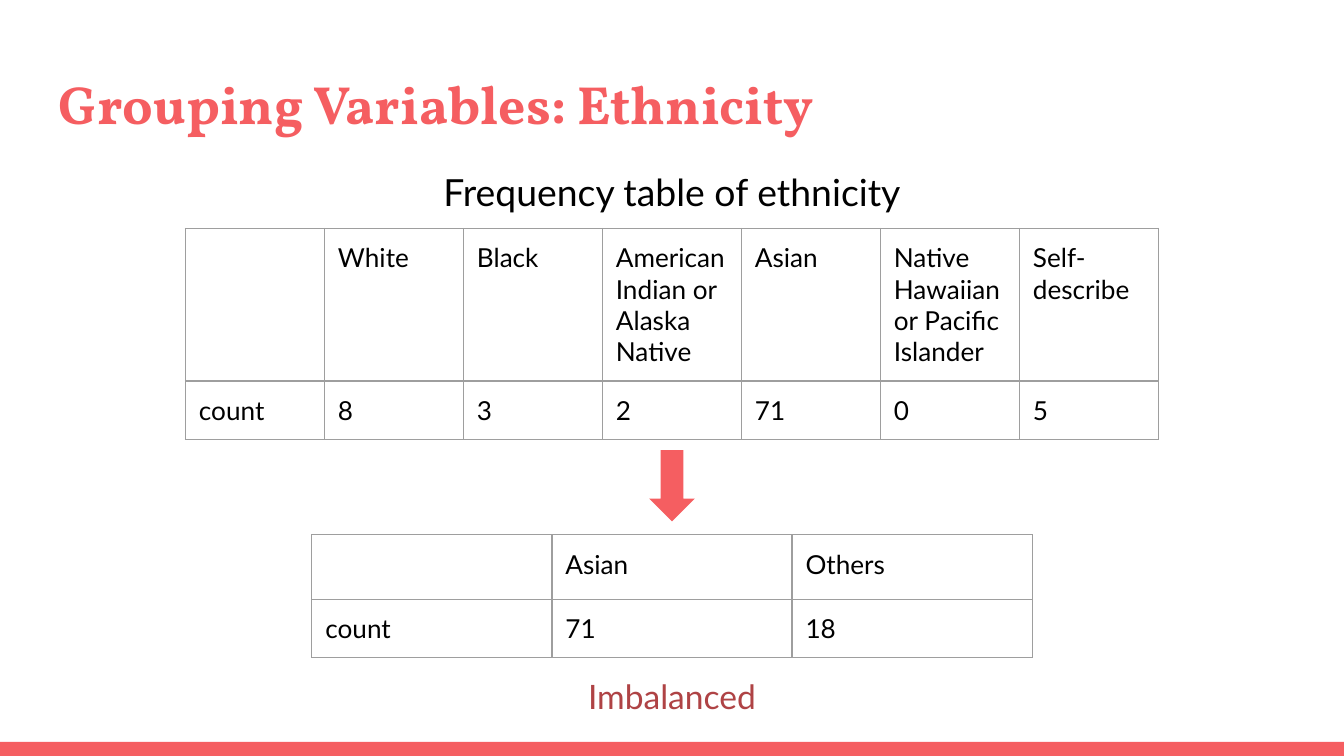
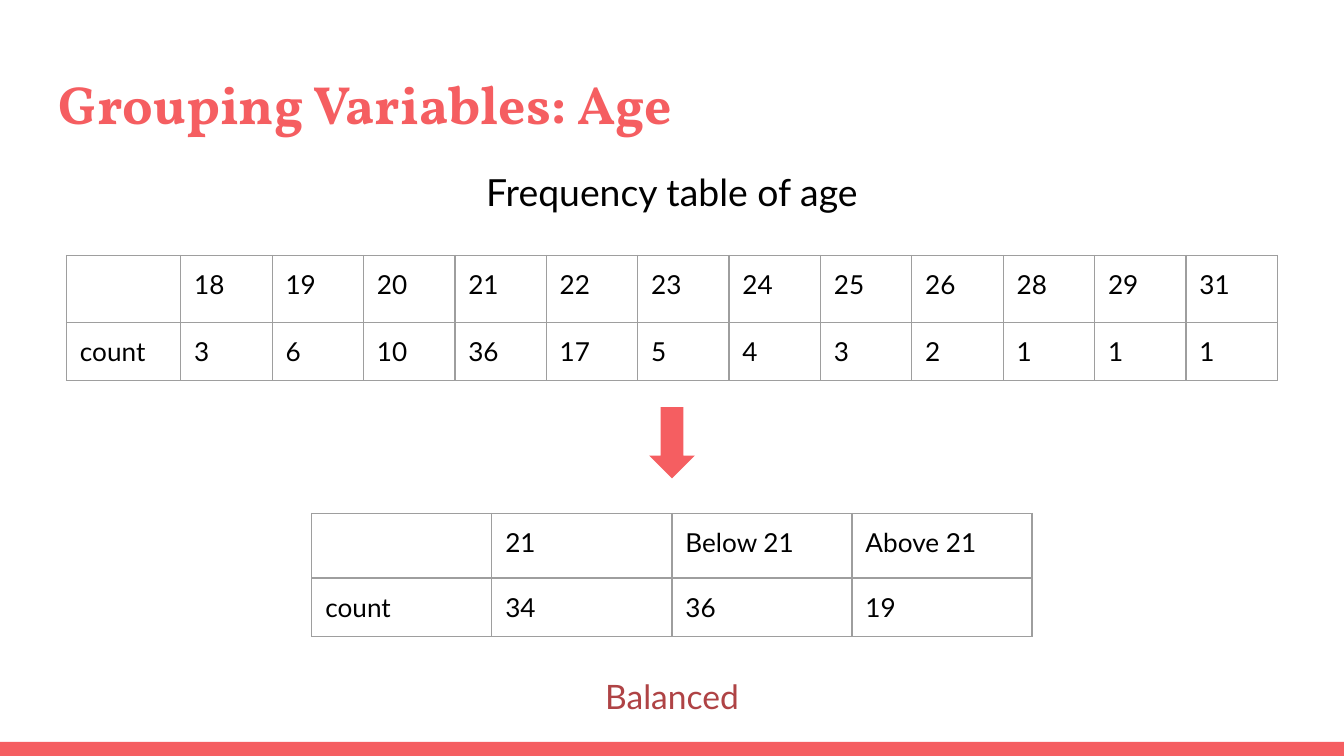
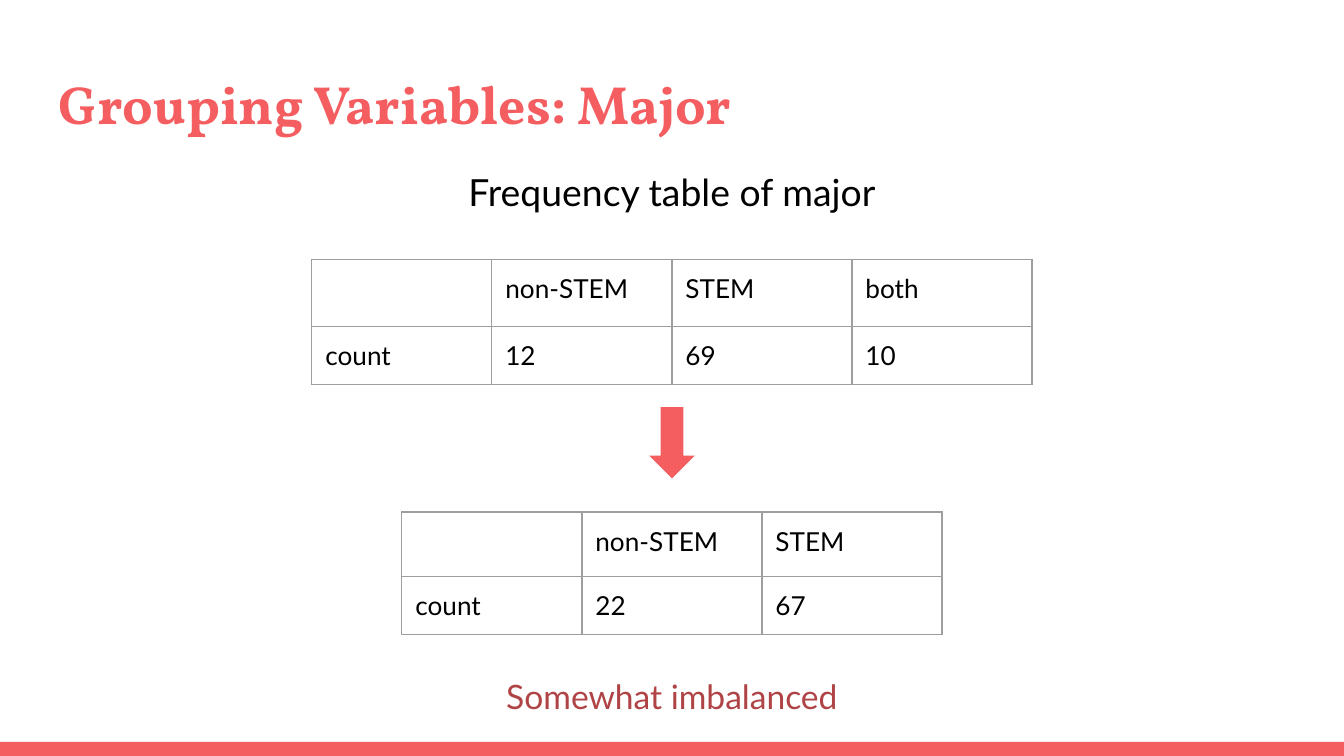
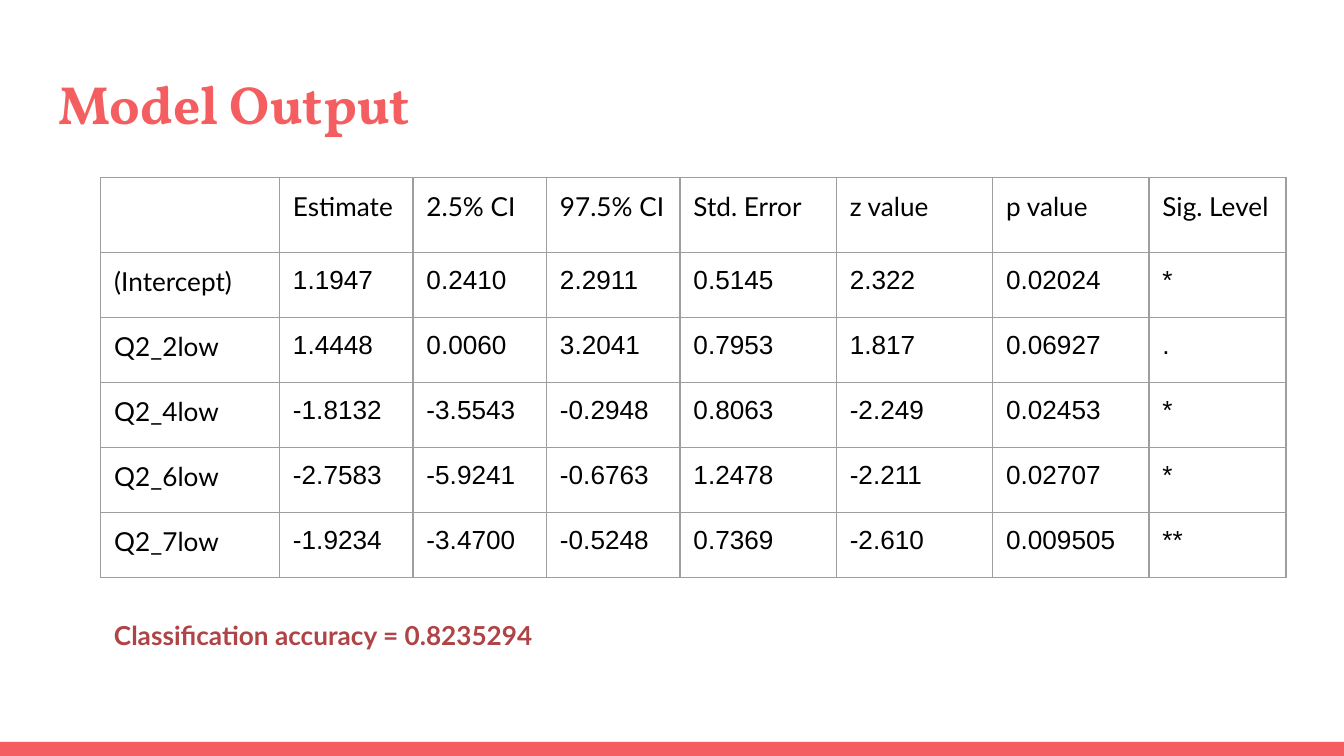
import pptx
import pptx.dml.color
import pptx.enum.shapes
import pptx.enum.text
import pptx.oxml.ns
import pptx.util
from lxml import etree

Inches = pptx.util.Inches
Pt = pptx.util.Pt
ALIGN = pptx.enum.text.PP_ALIGN
SHAPE = pptx.enum.shapes.MSO_SHAPE
qn = pptx.oxml.ns.qn

SLIDE_W = 10
SLIDE_H = SLIDE_W * 9 / 16
CORAL, BRICK, BLACK, GREY = "F55E61", "AF4345", "000000", "9E9E9E"
MARGINS = {"margin_left": Inches(0.1), "margin_right": Inches(0.1),
           "margin_top": Inches(0.1), "margin_bottom": Inches(0.1)}

# Text styles shared by the slides
TITLE = {"name": "Vollkorn", "size": Pt(28.8), "bold": True, "color": CORAL}
CAPTION = {"name": "Lato", "size": Pt(20), "color": BLACK}
VERDICT = {"name": "Lato", "size": Pt(18), "color": BRICK}
ACCURACY = {"name": "Lato", "size": Pt(14), "bold": True, "color": BRICK}
CELL = {"name": "Lato", "size": Pt(14), "bold": False, "color": BLACK}
NUMBER = {**CELL, "name": "Arial"}


def rgb(hex_color):
    return pptx.dml.color.RGBColor.from_string(hex_color)


def set_attributes(target, values):
    for key, value in values.items():
        setattr(target, key, value)


def set_font(font, style):
    for key, value in style.items():
        if key == "color":
            font.color.rgb = rgb(value)
        else:
            setattr(font, key, value)


def add_text(slide, box, text, style, **paragraph_format):
    frame = slide.shapes.add_textbox(*map(Inches, box)).text_frame
    set_attributes(frame, {"word_wrap": True, **MARGINS})
    line = frame.paragraphs[0]
    set_attributes(line, paragraph_format)
    run = line.add_run()
    run.text = text
    set_font(run.font, style)


def add_solid(slide, preset, box):
    solid = slide.shapes.add_shape(preset, *map(Inches, box))
    solid.shadow.inherit = False
    solid.fill.solid()
    solid.fill.fore_color.rgb = rgb(CORAL)
    solid.line.fill.background()


def add_borders(cell):
    properties = cell._tc.get_or_add_tcPr()
    for position, side in enumerate(("lnL", "lnR", "lnT", "lnB")):
        border = etree.Element(qn(f"a:{side}"), w=str(Pt(0.75)))
        fill = etree.SubElement(border, qn("a:solidFill"))
        etree.SubElement(fill, qn("a:srgbClr"), val=GREY)
        properties.insert(position, border)


def fill_cell(cell, text, style):
    set_attributes(cell, MARGINS)
    cell.fill.background()
    add_borders(cell)
    cell.text = text
    for line in cell.text_frame.paragraphs:
        for run in line.runs:
            set_font(run.font, style)
        if not line.runs:  # keeps an empty cell as low as its row
            etree.SubElement(line._p, qn("a:endParaRPr"), sz="1400")


def add_grid(slide, left, top, widths, heights, rows, number_style=CELL):
    box = (left, top, sum(widths), sum(heights))
    grid = slide.shapes.add_table(len(rows), len(widths), *map(Inches, box)).table
    set_attributes(grid, {"first_row": False, "horz_banding": False})
    for column, width in zip(grid.columns, widths):
        column.width = Inches(width)
    for row, height in zip(grid.rows, heights):
        row.height = Inches(height)
    for r, row in enumerate(rows):
        for c, text in enumerate(row):
            fill_cell(grid.cell(r, c), text, number_style if r and c else CELL)


def add_counts(slide, top, width, header_height, counts, label_width=None):
    """Centred table of categories over their counts."""
    label_width = label_width or width / (len(counts) + 1)
    widths = [label_width] + [(width - label_width) / len(counts)] * len(counts)
    rows = [["", *counts], ["count", *map(str, counts.values())]]
    add_grid(slide, (SLIDE_W - width) / 2, top, widths, [header_height, 0.43], rows)


def add_base(deck, title):
    slide = deck.slides.add_slide(deck.slide_layouts[6])
    add_solid(slide, SHAPE.RECTANGLE, (0, 5.52, SLIDE_W, 0.11))
    add_text(slide, (0.34, 0.43, 9.32, 0.68), title, TITLE)
    return slide


def add_grouping_slide(deck, variable, before, arrow_top, after, verdict, verdict_width):
    slide = add_base(deck, f"Grouping Variables: {variable}")
    add_text(slide, (0.34, 1.11, 9.32, 0.58), f"Frequency table of {variable.lower()}",
             CAPTION, alignment=ALIGN.CENTER, line_spacing=1.15, space_after=Pt(12))
    # Categories before and after grouping
    add_counts(slide, **before)
    add_solid(slide, SHAPE.DOWN_ARROW, (4.83, arrow_top, 0.34, 0.53))
    add_counts(slide, header_height=0.48, **after)
    add_text(slide, ((SLIDE_W - verdict_width) / 2, 4.93, verdict_width, 0.5),
             verdict, VERDICT, alignment=ALIGN.CENTER)


def add_model_slide(deck):
    slide = add_base(deck, "Model Output")
    coefficients = [
        ["", "Estimate", "2.5% CI", "97.5% CI", "Std. Error", "z value", "p value", "Sig. Level"],
        ["(Intercept)", "1.1947", "0.2410", "2.2911", "0.5145", "2.322", "0.02024", "*"],
        ["Q2_2low", "1.4448", "0.0060", "3.2041", "0.7953", "1.817", "0.06927", "."],
        ["Q2_4low", "-1.8132", "-3.5543", "-0.2948", "0.8063", "-2.249", "0.02453", "*"],
        ["Q2_6low", "-2.7583", "-5.9241", "-0.6763", "1.2478", "-2.211", "0.02707", "*"],
        ["Q2_7low", "-1.9234", "-3.4700", "-0.5248", "0.7369", "-2.610", "0.009505", "**"],
    ]
    widths = [1.33] + [2.98 / 3] * 3 + [3.49 / 3] * 3 + [1.02]
    heights = [0.56] + [2.42 / 5] * 5
    add_grid(slide, 0.75, 1.32, widths, heights, coefficients, NUMBER)
    add_text(slide, (0.75, 4.51, 7.24, 0.67),
             "Classification accuracy = 0.8235294", ACCURACY)


def main():
    deck = pptx.Presentation()
    set_attributes(deck, {"slide_width": Inches(SLIDE_W), "slide_height": Inches(SLIDE_H)})

    ethnicities = {"White": 8, "Black": 3, "American Indian or Alaska Native": 2,
                   "Asian": 71, "Native Hawaiian or Pacific Islander": 0,
                   "Self-\ndescribe": 5}
    add_grouping_slide(
        deck, "Ethnicity",
        {"top": 1.7, "width": 7.24, "header_height": 1.13, "counts": ethnicities}, 3.35,
        {"top": 3.98, "width": 5.36, "counts": {"Asian": 71, "Others": 18}},
        "Imbalanced", 1.65)

    ages = {"18": 3, "19": 6, "20": 10, "21": 36, "22": 17, "23": 5,
            "24": 4, "25": 3, "26": 2, "28": 1, "29": 1, "31": 1}
    add_grouping_slide(
        deck, "Age",
        {"top": 1.9, "width": 9.01, "header_height": 0.5, "counts": ages,
         "label_width": 0.85}, 3.03,
        {"top": 3.82, "width": 5.36,
         "counts": {"21": 34, "Below 21": 36, "Above 21": 19}},
        "Balanced", 1.65)

    add_grouping_slide(
        deck, "Major",
        {"top": 1.93, "width": 5.36, "header_height": 0.5,
         "counts": {"non-STEM": 12, "STEM": 69, "both": 10}}, 3.03,
        {"top": 3.81, "width": 4.02, "counts": {"non-STEM": 22, "STEM": 67}},
        "Somewhat imbalanced", 2.71)

    add_model_slide(deck)
    deck.save("out.pptx")


if __name__ == "__main__":
    main()
